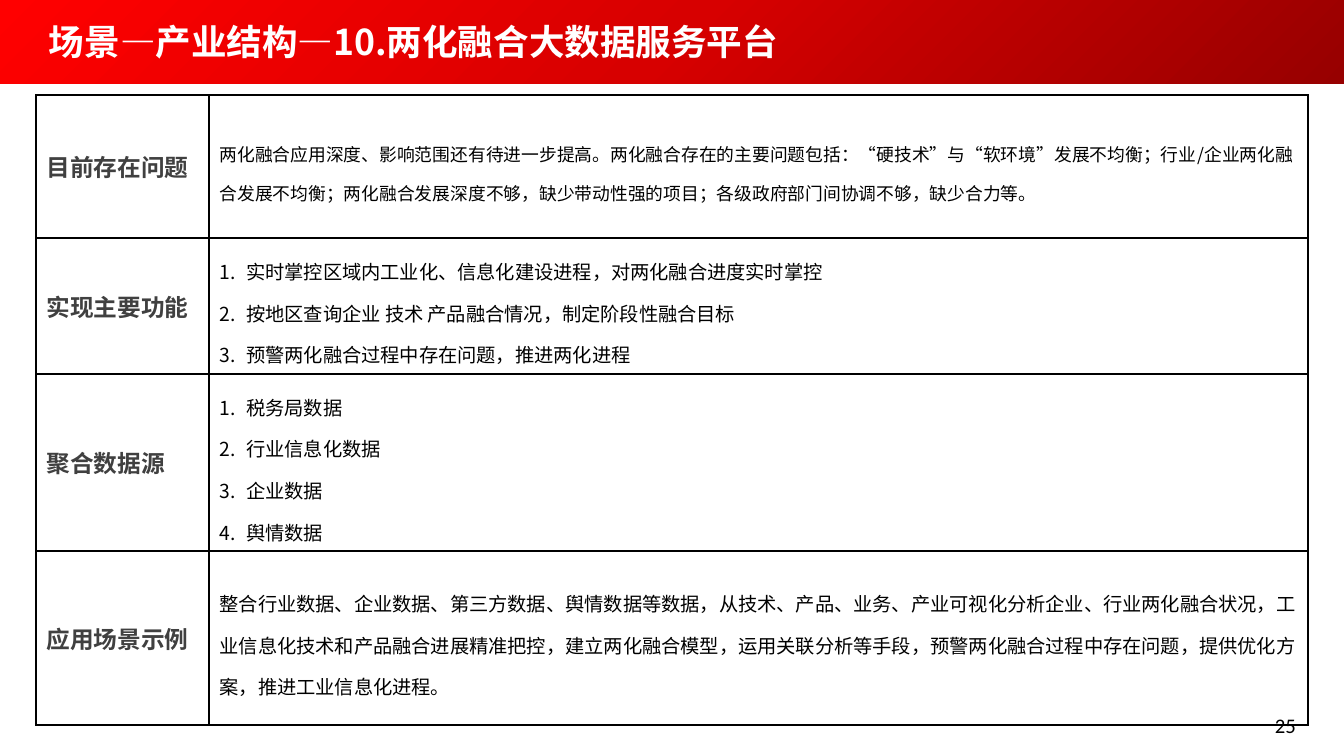
import copy

import pptx
import pptx.dml.color
import pptx.enum.lang
import pptx.enum.shapes
import pptx.enum.text
import pptx.oxml
import pptx.oxml.ns
import pptx.util

RGBColor = pptx.dml.color.RGBColor
DARK_RED = RGBColor(0x97, 0x00, 0x00)
MID_RED = RGBColor(0xD7, 0x00, 0x00)
RED = RGBColor(0xFF, 0x00, 0x00)
WHITE = RGBColor(0xFF, 0xFF, 0xFF)
BLACK = RGBColor(0x00, 0x00, 0x00)
GREY = RGBColor(0x40, 0x40, 0x40)
CJK = "Noto Sans CJK SC"
CHINESE = pptx.enum.lang.MSO_LANGUAGE_ID.SIMPLIFIED_CHINESE
LEFT = pptx.enum.text.PP_ALIGN.LEFT
RIGHT = pptx.enum.text.PP_ALIGN.RIGHT
MIDDLE = pptx.enum.text.MSO_ANCHOR.MIDDLE
TOP = pptx.enum.text.MSO_ANCHOR.TOP

TITLE_FORMAT = {"name": CJK, "size": pptx.util.Pt(24), "bold": True}
LABEL_FORMAT = {"name": CJK, "size": pptx.util.Pt(16), "bold": True}
NUMBER_FORMAT = {"name": "Calibri", "size": pptx.util.Pt(14)}

COLUMN_WIDTHS = [173, 1099]
ROWS = [
    ("目前存在问题", 143, 12, False, [
        "两化融合应用深度、影响范围还有待进一步提高。两化融合存在的主要问题包括：“硬技术”与“软环境”发展不均衡；"
        "行业/企业两化融合发展不均衡；两化融合发展深度不够，缺少带动性强的项目；各级政府部门间协调不够，缺少合力等。"]),
    ("实现主要功能", 136, 13, True, [
        "实时掌控区域内工业化、信息化建设进程，对两化融合进度实时掌控",
        "按地区查询企业 技术 产品融合情况，制定阶段性融合目标",
        "预警两化融合过程中存在问题，推进两化进程"]),
    ("聚合数据源", 177, 13, True, ["税务局数据", "行业信息化数据", "企业数据", "舆情数据"]),
    ("应用场景示例", 174, 13, False, [
        "整合行业数据、企业数据、第三方数据、舆情数据等数据，从技术、产品、业务、产业可视化分析企业、行业两化融合状况，"
        "工业信息化技术和产品融合进展精准把控，建立两化融合模型，运用关联分析等手段，预警两化融合过程中存在问题，"
        "提供优化方案，推进工业信息化进程。"]),
]


def px(length):
    """Turn px into EMU."""
    return pptx.util.Emu(round(length * 8572.5))


def add_span(para, text, color, formats):
    """Add a formatted run to a paragraph."""
    span = para.add_run()
    span.text = text
    for name, value in formats.items():
        setattr(span.font, name, value)
    span.font.color.rgb = color
    if formats["name"] == CJK:
        span.font.language_id = CHINESE
        east_asian = pptx.oxml.parse_xml(
            f'<a:ea {pptx.oxml.ns.nsdecls("a")} typeface="{CJK}"/>')
        span.font._element.find(pptx.oxml.ns.qn("a:latin")).addnext(east_asian)


def number_paragraph(para):
    """Give a paragraph an automatic number and a hanging indent."""
    properties = para._p.get_or_add_pPr()
    properties.set("marL", str(pptx.util.Inches(0.25)))
    properties.set("indent", str(-pptx.util.Inches(0.25)))
    properties.append(pptx.oxml.parse_xml(
        f'<a:buAutoNum {pptx.oxml.ns.nsdecls("a")} type="arabicPeriod"/>'))


def style_cell(cell):
    """Clear the fill of a cell and draw its black borders."""
    cell.vertical_anchor = MIDDLE
    cell.fill.background()
    properties = cell._tc.get_or_add_tcPr()
    for index, side in enumerate("LRTB"):
        properties.insert(index, pptx.oxml.parse_xml(
            f'<a:ln{side} {pptx.oxml.ns.nsdecls("a")} w="12700"><a:solidFill>'
            f'<a:srgbClr val="{BLACK}"/></a:solidFill></a:ln{side}>'))


def add_banner(page, left, top, width, height):
    """Draw the red gradient banner."""
    banner = page.shapes.add_shape(
        pptx.enum.shapes.MSO_SHAPE.RECTANGLE, px(left), px(top), px(width), px(height))
    banner.shadow.inherit = False
    banner.line.fill.background()
    banner.fill.gradient()
    banner.fill.gradient_angle = 135
    stops = next(banner._element.iter(pptx.oxml.ns.qn("a:gsLst")))
    stops.insert(1, copy.deepcopy(stops[0]))
    for index, (stop, color) in enumerate(
            zip(banner.fill.gradient_stops, [DARK_RED, MID_RED, RED])):
        stop.position = index / 2
        stop.color.rgb = color


def add_text(page, left, top, width, height, text, color, formats, align, anchor):
    """Place one line of text in a box."""
    box = page.shapes.add_textbox(px(left), px(top), px(width), px(height))
    frame = box.text_frame
    margins = {"margin_left": px(12), "margin_right": px(12),
               "margin_top": px(6), "margin_bottom": px(6)}
    for name, value in {**margins, "word_wrap": True, "vertical_anchor": anchor}.items():
        setattr(frame, name, value)
    para = frame.paragraphs[0]
    para.alignment = align
    add_span(para, text, color, formats)


def add_scenario_table(page, left, top):
    """Build the table of scenario labels and details."""
    frame = page.shapes.add_table(
        len(ROWS), len(COLUMN_WIDTHS), px(left), px(top),
        px(sum(COLUMN_WIDTHS)), px(sum(row[1] for row in ROWS)))
    table = frame.table
    table.first_row = False
    table.horz_banding = False
    for column, width in zip(table.columns, COLUMN_WIDTHS):
        column.width = px(width)
    for row, (label, height, size, numbered, lines) in zip(table.rows, ROWS):
        row.height = px(height)
        label_cell, detail_cell = row.cells
        style_cell(label_cell)
        style_cell(detail_cell)
        add_span(label_cell.text_frame.paragraphs[0], label, GREY, LABEL_FORMAT)
        detail = detail_cell.text_frame
        detail_format = {"name": CJK, "size": pptx.util.Pt(size), "bold": False}
        for index, line in enumerate(lines):
            para = detail.add_paragraph() if index else detail.paragraphs[0]
            para.line_spacing = 1.5
            if numbered:
                number_paragraph(para)
            add_span(para, line, BLACK, detail_format)


def main():
    """Build and save the deck."""
    deck = pptx.Presentation()
    deck.slide_width = px(1344)
    deck.slide_height = px(756)
    page = deck.slides.add_slide(deck.slide_layouts[6])
    add_banner(page, 0, 0, 1344, 84)
    add_scenario_table(page, 36, 95)
    add_text(page, 37, 7, 1270, 68, "场景—产业结构—10.两化融合大数据服务平台",
             WHITE, TITLE_FORMAT, LEFT, MIDDLE)
    add_text(page, 994, 707, 314, 41, "25", BLACK, NUMBER_FORMAT, RIGHT, TOP)
    deck.save("out.pptx")


if __name__ == "__main__":
    main()
